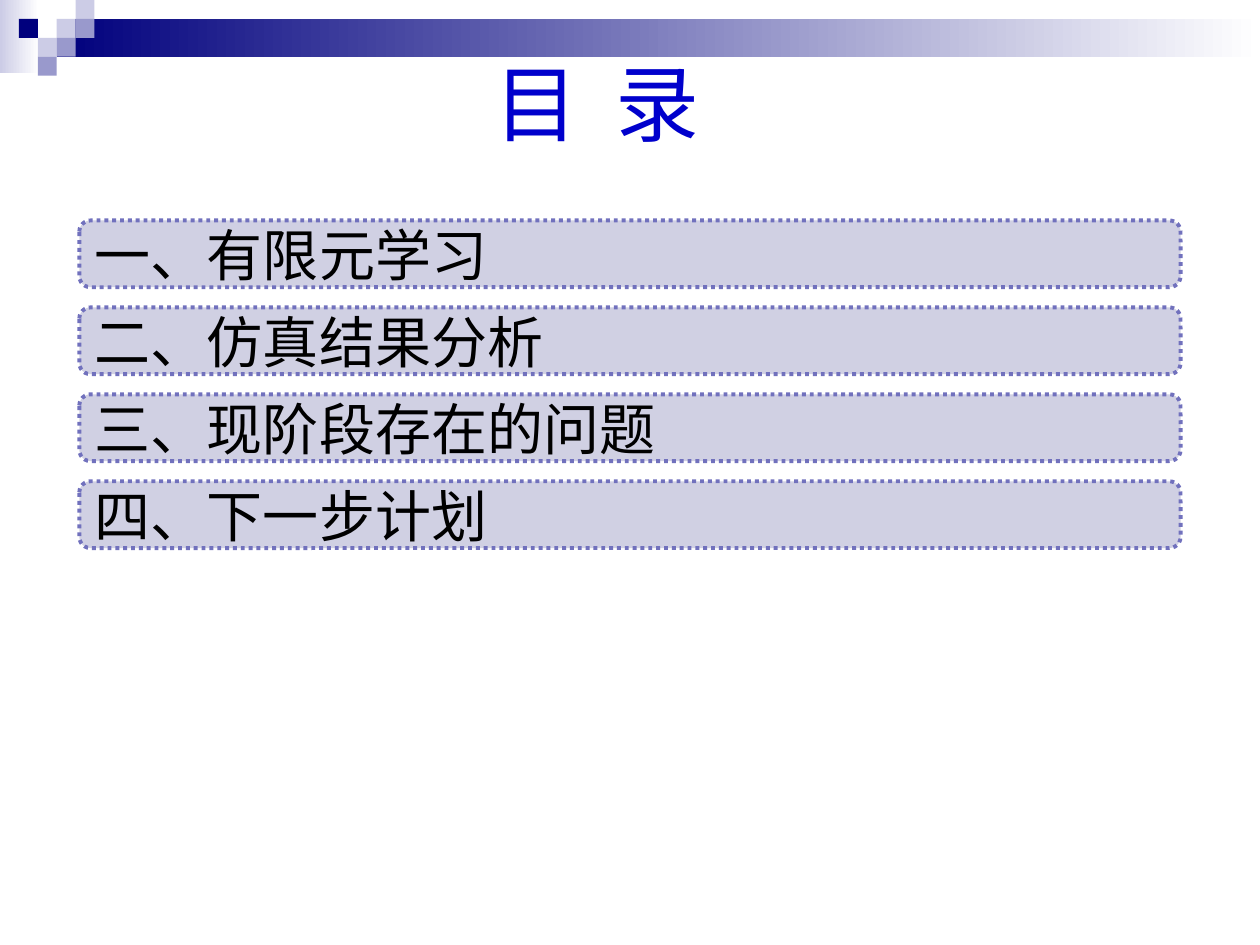
from pptx import Presentation
from pptx.dml.color import RGBColor
from pptx.enum.dml import MSO_LINE
from pptx.enum.shapes import MSO_SHAPE
from pptx.enum.text import MSO_ANCHOR, MSO_AUTO_SIZE, PP_ALIGN
from pptx.oxml.ns import qn
from pptx.util import Inches, Pt
from lxml import etree

RECT, ROUND = MSO_SHAPE.RECTANGLE, MSO_SHAPE.ROUNDED_RECTANGLE
DOTTED = MSO_LINE.ROUND_DOT
TOP, MIDDLE = MSO_ANCHOR.TOP, MSO_ANCHOR.MIDDLE
LEFT, CENTER = PP_ALIGN.LEFT, PP_ALIGN.CENTER
FONT = "Noto Sans CJK SC"

WHITE = RGBColor(0xFF, 0xFF, 0xFF)
BLACK = RGBColor(0x00, 0x00, 0x00)
NAVY = RGBColor(0x00, 0x00, 0x7D)
PALE = RGBColor(0xCC, 0xCC, 0xE6)
MID = RGBColor(0x99, 0x99, 0xCC)
BLUE = RGBColor(0x00, 0x00, 0xCC)
PANEL = RGBColor(0xD0, 0xD0, 0xE3)
EDGE = RGBColor(0x71, 0x71, 0xBD)

TITLE = "目 录"
TOPICS = ["一、有限元学习", "二、仿真结果分析", "三、现阶段存在的问题", "四、下一步计划"]

# Fading bars: left, top, width, height, start colour
BARS = [(0, 0, 0.31, 0.58, PALE), (0.45, 0.15, 9.55, 0.3, NAVY)]
# Corner squares: column, row, colour
SQUARES = [(3, 1, PALE), (4, 0, PALE), (4, 1, MID), (2, 2, PALE),
           (1, 1, NAVY), (3, 2, MID), (2, 3, MID)]
SIDE = 0.15
ROW_LEFT, ROW_TOP, ROW_WIDTH, ROW_HEIGHT, ROW_STEP = 0.63, 1.75, 8.74, 0.53, 0.69


def add_block(slide, kind, *box):
    shape = slide.shapes.add_shape(kind, *map(Inches, box))
    shape.shadow.inherit = False
    shape.line.fill.background()
    return shape


def fill_solid(shape, color):
    shape.fill.solid()
    shape.fill.fore_color.rgb = color


def fill_fade(shape, color):
    """Fade from the colour at the left to white at the right."""
    shape.fill.gradient()
    shape.fill.gradient_angle = 0
    for stop, tone, place in zip(shape.fill.gradient_stops, (color, WHITE), (0, 1)):
        stop.color.rgb = tone
        stop.position = place


def write(shape, text, size, color, align, anchor):
    frame = shape.text_frame
    frame.text = text
    frame.word_wrap = False
    frame.auto_size = MSO_AUTO_SIZE.NONE
    frame.vertical_anchor = anchor
    para = frame.paragraphs[0]
    para.alignment = align
    run = para.runs[0]
    for name, value in {"name": FONT, "size": Pt(size), "bold": False}.items():
        setattr(run.font, name, value)
    run.font.color.rgb = color
    props = run._r.get_or_add_rPr()
    etree.SubElement(props, qn("a:ea")).set("typeface", FONT)
    return props


def main():
    deck = Presentation()
    deck.slide_width, deck.slide_height = Inches(10), Inches(7.5)
    slide = deck.slides.add_slide(deck.slide_layouts[5])

    for *box, color in BARS:
        fill_fade(add_block(slide, RECT, *box), color)
    for col, row, color in SQUARES:
        square = add_block(slide, RECT, col * SIDE, row * SIDE, SIDE, SIDE)
        fill_solid(square, color)

    title = slide.shapes.title
    title.left, title.top, title.width, title.height = map(Inches, (3.63, 0.36, 2.22, 0.91))
    props = write(title, TITLE, 48, BLUE, CENTER, TOP)
    props.set("spc", "540")  # letter spacing widens the gap

    for i, topic in enumerate(TOPICS):
        row = add_block(slide, ROUND, ROW_LEFT, ROW_TOP + i * ROW_STEP, ROW_WIDTH, ROW_HEIGHT)
        fill_solid(row, PANEL)
        row.line.color.rgb = EDGE
        row.line.width = Pt(2.25)
        row.line.dash_style = DOTTED
        write(row, topic, 32, BLACK, LEFT, MIDDLE)

    deck.save("out.pptx")


if __name__ == "__main__":
    main()
